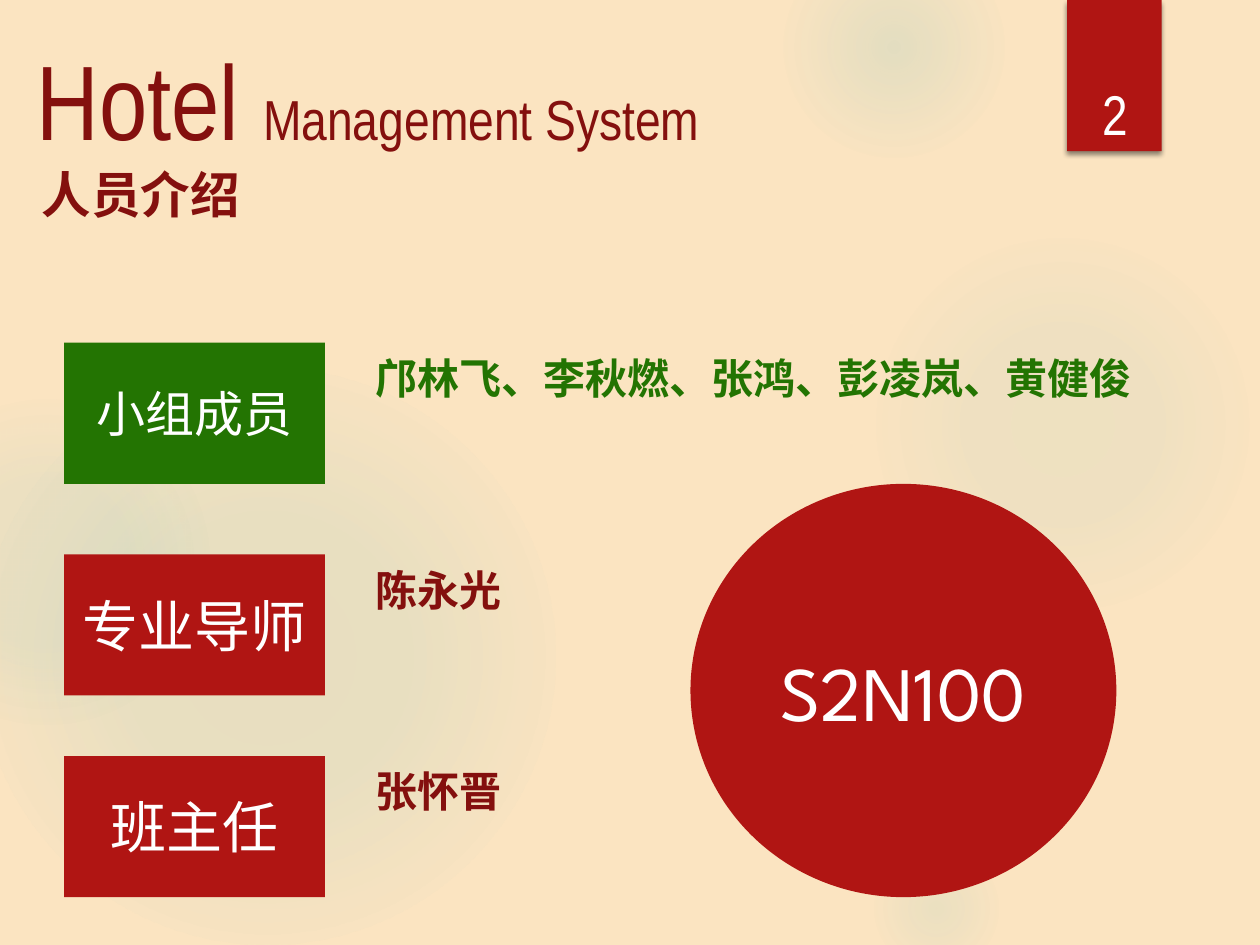
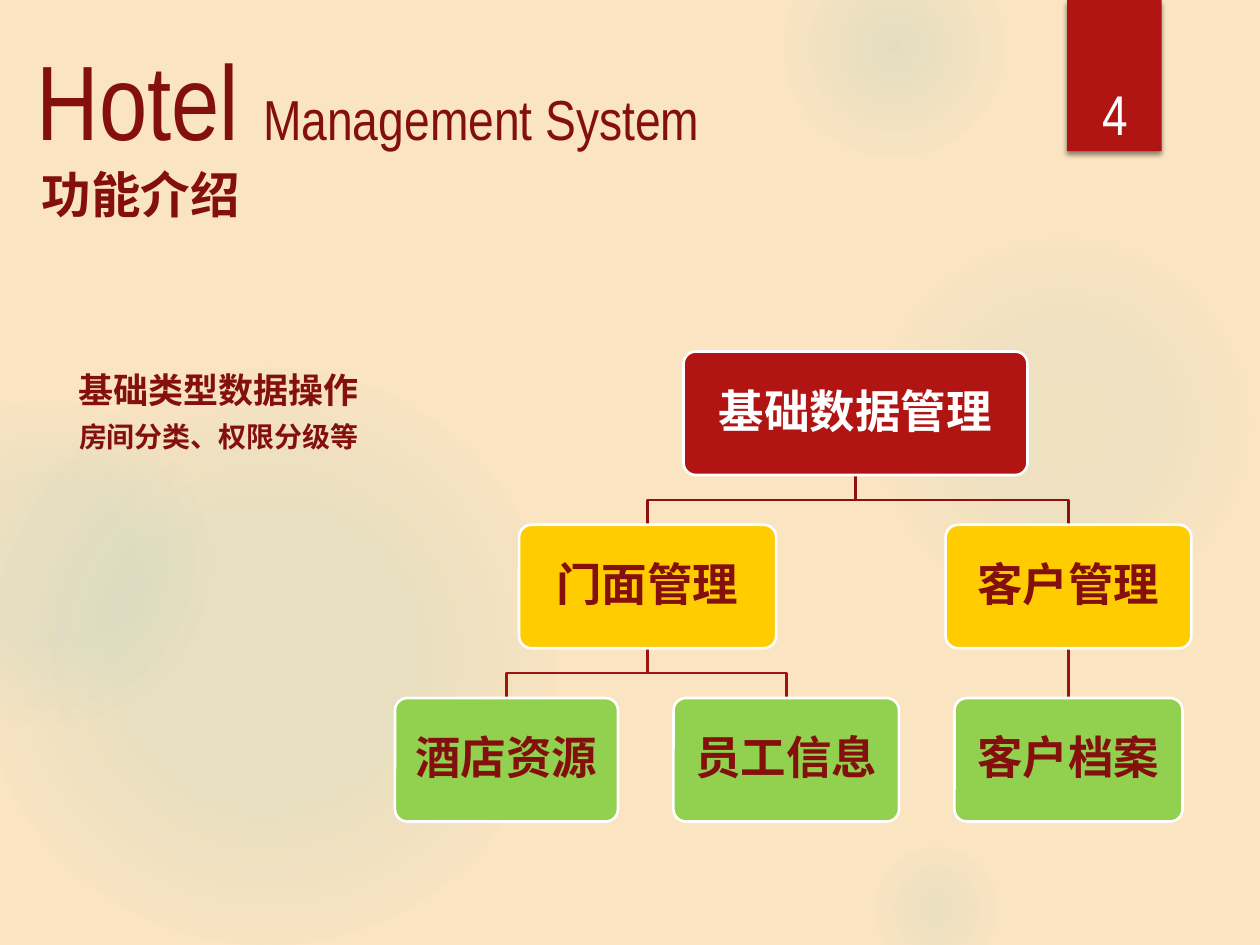
from lxml import etree
from pptx import Presentation
from pptx.dml.color import RGBColor
from pptx.enum.shapes import MSO_CONNECTOR, MSO_SHAPE
from pptx.enum.text import MSO_ANCHOR, MSO_AUTO_SIZE, PP_ALIGN
from pptx.oxml import parse_xml
from pptx.oxml.ns import nsdecls, qn
from pptx.util import Inches, Pt

RECT, OVAL, ROUND = MSO_SHAPE.RECTANGLE, MSO_SHAPE.OVAL, MSO_SHAPE.ROUNDED_RECTANGLE
STRAIGHT = MSO_CONNECTOR.STRAIGHT
TOP, MIDDLE = MSO_ANCHOR.TOP, MSO_ANCHOR.MIDDLE
LEFT, CENTER = PP_ALIGN.LEFT, PP_ALIGN.CENTER
NO_FIT = MSO_AUTO_SIZE.NONE

COLORS = {
    "cream": "FBE4C1", "teal": "50B9C1", "red": "B01513", "dark": "84100E",
    "green": "237402", "yellow": "FFCC00", "lime": "92D050", "white": "FFFFFF",
    "black": "000000", "branch": "8D110F", "twig": "A01311",
}
HEAD_FONT, BODY_FONT = "Arial Narrow", "League Spartan"
BUBBLES = [
    (6.89, 1.83, 3.08, ((0, 7), (36, 6), (69, 0))),
    (6.22, -0.5, 1.75, ((0, 14), (36, 7), (73, 0))),
    (6.89, 6.67, 1.08, ((0, 9), (36, 5), (66, 0))),
    (-0.17, 2.92, 4.58, ((0, 11), (36, 10), (75, 0))),
    (-0.92, 3.17, 2.58, ((0, 8), (36, 8), (72, 0))),
]


def rgb(name):
    return RGBColor.from_string(COLORS[name])


class Deck:
    def __init__(self):
        self.prs = Presentation()
        self.prs.slide_width, self.prs.slide_height = Inches(10), Inches(7.5)
        self.s = None

    def slide(self, subtitle, number):
        self.s = self.prs.slides.add_slide(self.prs.slide_layouts[5])
        fill = self.s.background.fill
        fill.solid()
        fill.fore_color.rgb = rgb("cream")
        for bubble in BUBBLES:
            self.bubble(*bubble)
        self.ribbon(number)
        self.title(subtitle)

    def title(self, subtitle):
        sp = self.s.shapes.title
        self.s.shapes._spTree.append(sp._element)
        sp.left, sp.top, sp.width, sp.height = map(Inches, (0, 0, 7.17, 2.16))
        tf = self.frame(sp, MIDDLE)
        tf.margin_left = Inches(0.29)
        p = tf.paragraphs[0]
        p.alignment, p.line_spacing = LEFT, 0.9
        self.run(p, "Hotel ", 60.5, "dark", font=HEAD_FONT)
        self.run(p, "Management System", 32.2, "dark", font=HEAD_FONT)
        p = tf.add_paragraph()
        p.alignment = LEFT
        p._p.get_or_add_pPr().set("marL", str(Inches(0.04)))
        self.run(p, subtitle, 28.3, "dark", bold=True, font=HEAD_FONT)

    def ribbon(self, number):
        sp = self.shape(RECT, (8.47, 0, 0.75, 1.2), "red")
        effects = sp._element.spPr.find(qn("a:effectLst"))
        shadow = etree.SubElement(effects, qn("a:outerShdw"), blurRad=str(Pt(3)),
                                  dist=str(Pt(2)), dir="5400000", rotWithShape="0")
        color = etree.SubElement(shadow, qn("a:srgbClr"), val=COLORS["black"])
        etree.SubElement(color, qn("a:alpha"), val="45000")
        self.text((8.48, 0.58, 0.75, 0.64), [(number, 32)], "white", CENTER, font=HEAD_FONT)

    def bubble(self, left, top, size, stops):
        sp = self.shape(OVAL, (left, top, size, size))
        gs = "".join(
            f'<a:gs pos="{pos * 1000}"><a:srgbClr val="{COLORS["teal"]}">'
            f'<a:alpha val="{alpha * 1000}"/></a:srgbClr></a:gs>' for pos, alpha in stops)
        spPr = sp._element.spPr
        spPr.insert(2, parse_xml(
            f'<a:gradFill {nsdecls("a")}><a:gsLst>{gs}</a:gsLst><a:path path="circle">'
            '<a:fillToRect l="50000" t="50000" r="50000" b="50000"/></a:path></a:gradFill>'))

    def shape(self, kind, box, fill=None, line=None):
        sp = self.s.shapes.add_shape(kind, *map(Inches, box))
        sp.shadow.inherit = False
        if fill:
            sp.fill.solid()
            sp.fill.fore_color.rgb = rgb(fill)
        if line:
            self.stroke(sp, line)
        else:
            sp.line.fill.background()
        return sp

    def label(self, kind, box, fill, text, size, color="white", bold=False, line=None):
        sp = self.shape(kind, box, fill, line)
        p = self.frame(sp, MIDDLE).paragraphs[0]
        p.alignment = CENTER
        self.run(p, text, size, color, bold)
        return sp

    def text(self, box, lines, color, align=LEFT, bold=False, font=BODY_FONT,
             anchor=TOP, spacing=None, after=None):
        tf = self.frame(self.s.shapes.add_textbox(*map(Inches, box)), anchor)
        for i, (text, size) in enumerate(lines):
            p = tf.add_paragraph() if i else tf.paragraphs[0]
            style = {"alignment": align, "line_spacing": spacing, "space_after": after}
            for name, value in style.items():
                setattr(p, name, value)
            self.run(p, text, size, color, bold, font)

    def frame(self, sp, anchor):
        tf = sp.text_frame
        style = {"word_wrap": True, "auto_size": NO_FIT, "vertical_anchor": anchor}
        for name, value in style.items():
            setattr(tf, name, value)
        return tf

    def run(self, p, text, size, color, bold=False, font=BODY_FONT):
        r = p.add_run()
        r.text = text
        for name, value in {"name": font, "size": Pt(size), "bold": bold}.items():
            setattr(r.font, name, value)
        r.font.color.rgb = rgb(color)

    def stroke(self, sp, color):
        sp.line.color.rgb = rgb(color)
        sp.line.width = Pt(1.5)

    def link(self, x1, y1, x2, y2, color):
        if x1 == x2:
            sp = self.s.shapes.add_connector(STRAIGHT, *map(Inches, (x1, y1, x2, y2)))
            etree.SubElement(sp._element.spPr, qn("a:effectLst"))
        else:
            mid = (y1 + y2) / 2
            fb = self.s.shapes.build_freeform(Inches(x1), Inches(y1))
            points = [(x1, mid), (x2, mid), (x2, y2)]
            fb.add_line_segments([(Inches(x), Inches(y)) for x, y in points], close=False)
            sp = fb.convert_to_shape()
            sp.fill.background()
            sp.shadow.inherit = False
        self.stroke(sp, color)


def team_slide(deck):
    deck.slide("人员介绍", "2")
    rows = [
        (2.72, "小组成员", 28, "green", "邝林飞、李秋燃、张鸿、彭凌岚、黄健俊", "green"),
        (4.4, "专业导师", 32, "red", "陈永光", "dark"),
        (6, "班主任", 32, "red", "张怀晋", "dark"),
    ]
    for top, role, size, fill, names, color in rows:
        deck.label(RECT, (0.51, top, 2.07, 1.12), fill, role, size)
        deck.text((2.88, top + 0.03, 6.49, 0.5), [(names, 24)], color, bold=True)
    deck.label(OVAL, (5.48, 3.84, 3.38, 3.28), "red", "S2N100", 44)


def function_slide(deck):
    deck.slide("功能介绍", "4")
    deck.text((0.34, 2.7, 2.79, 1.17), [("基础类型数据操作", 20), ("房间分类、权限分级等", 16)],
              "dark", CENTER, bold=True, anchor=MIDDLE, spacing=0.9, after=Pt(7))
    top, step, height = 2.79, 1.375, 0.98
    fills, link_colors = ("red", "yellow", "lime"), ("branch", "twig")
    nodes = {
        "基础数据管理": (0, 6.79, 2.73, None),
        "门面管理": (1, 5.14, 2.04, "基础数据管理"),
        "客户管理": (1, 8.48, 1.95, "基础数据管理"),
        "酒店资源": (2, 4.02, 1.77, "门面管理"),
        "员工信息": (2, 6.24, 1.79, "门面管理"),
        "客户档案": (2, 8.48, 1.81, "客户管理"),
    }
    for level, x, _, parent in nodes.values():
        if parent:
            y = top + level * step
            deck.link(nodes[parent][1], y - step + height, x, y, link_colors[level - 1])
    for name, (level, x, width, _) in nodes.items():
        box = (x - width / 2, top + level * step, width, height)
        sp = deck.label(ROUND, box, fills[level], name, 26, "dark" if level else "white",
                        bold=True, line="white")
        sp.adjustments[0] = 0.1
        sp.text_frame.paragraphs[0].line_spacing = 0.9


def main():
    deck = Deck()
    team_slide(deck)
    function_slide(deck)
    deck.prs.save("out.pptx")


if __name__ == "__main__":
    main()
